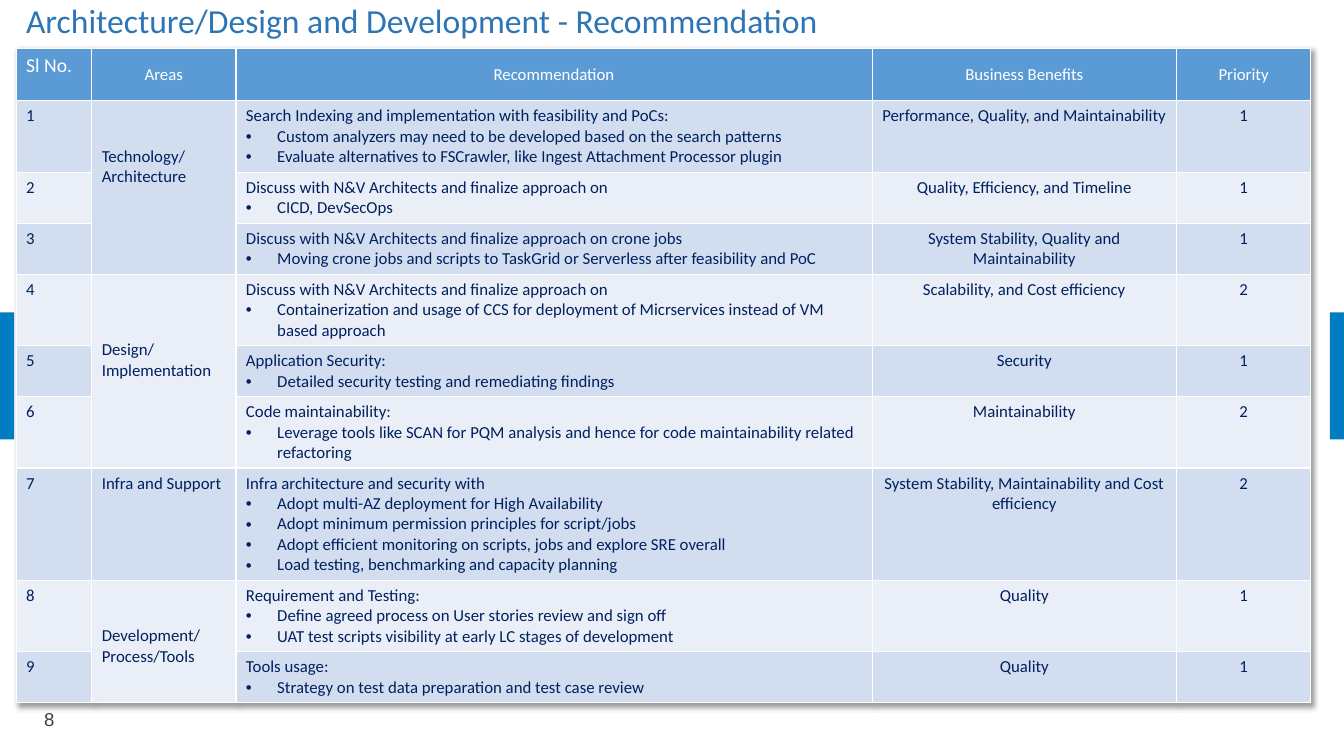
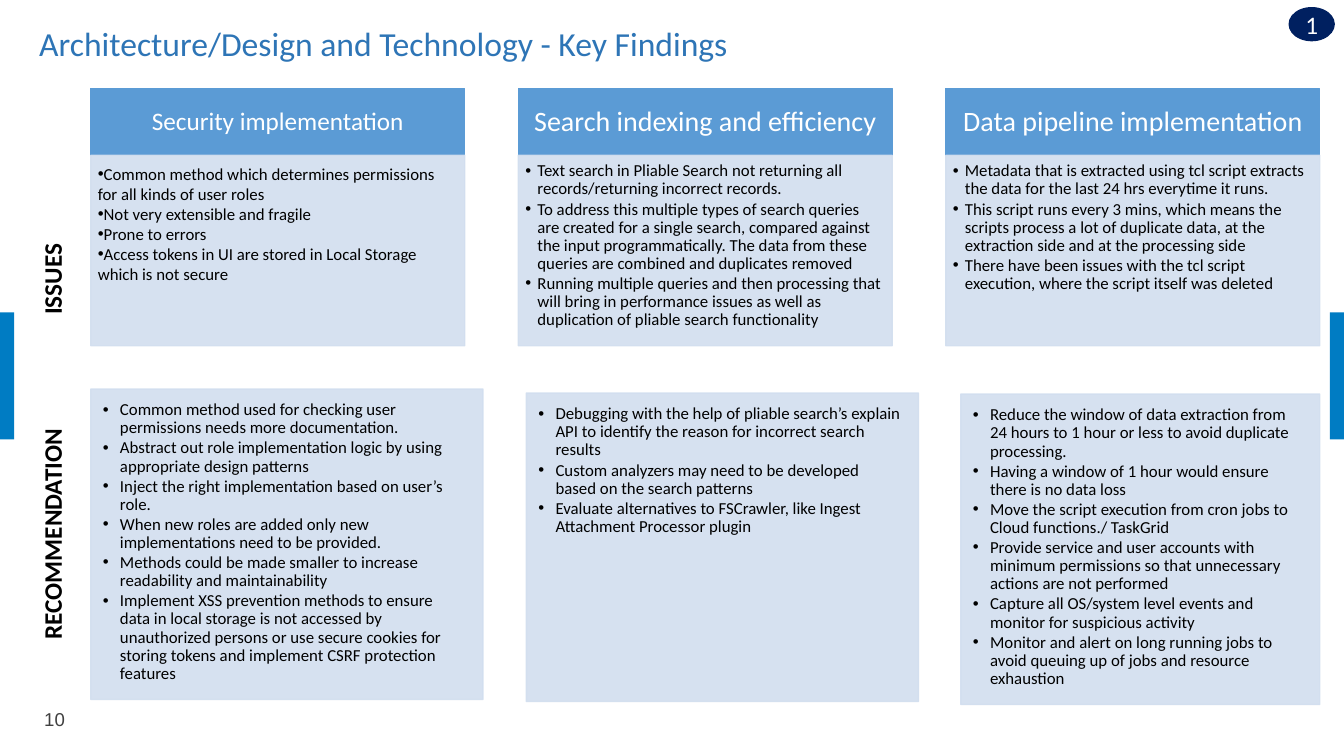
import dataclasses

import lxml.etree
import pptx
import pptx.dml.color
import pptx.enum.shapes
import pptx.enum.text
import pptx.oxml
import pptx.oxml.ns
import pptx.util

Inches = pptx.util.Inches
Pt = pptx.util.Pt
Align = pptx.enum.text.PP_ALIGN
Anchor = pptx.enum.text.MSO_ANCHOR
Preset = pptx.enum.shapes.MSO_SHAPE
qn = pptx.oxml.ns.qn


@dataclasses.dataclass(frozen=True)
class Theme:
    font: str = "Calibri"
    number_font: str = "Arial"
    title: str = "2E75B6"
    tab: str = "007CC3"
    accent: str = "5B9BD5"
    panel: str = "D2DEEF"
    pale: str = "EAEFF7"
    navy: str = "002060"
    number: str = "404040"
    white: str = "FFFFFF"
    black: str = "000000"
    title_size: float = 24
    card_size: float = 20
    label_size: float = 18
    corner_size: float = 14
    number_size: float = 13.3
    body_size: float = 12


THEME = Theme()
DEFAULT_INSETS = (0.1, 0.05, 0.1, 0.05)
SMALL_INSETS = (0.07,) * 4
LINE_HEIGHT = 0.2

COLUMN_WIDTHS = (0.75, 1.43, 6.31, 3.02, 1.33)
HEADERS = ("Sl No.", "Areas", "Recommendation", "Business Benefits", "Priority")
# Area name, rows it covers, lines of room above it
AREAS = (
    ("Technology/Architecture", 3, 2),
    ("Design/Implementation", 3, 3),
    ("Infra and Support", 1, 0),
    ("Development/Process/Tools", 2, 2),
)
# Heading, bullets, benefit, priority, lines of text
RECOMMENDATIONS = (
    ("Search Indexing and implementation with feasibility and PoCs:",
     ("Custom analyzers may need to be developed based on the search patterns",
      "Evaluate alternatives to FSCrawler, like Ingest Attachment Processor plugin"),
     "Performance, Quality, and Maintainability", "1", 3),
    ("Discuss with N&V Architects and finalize approach on",
     ("CICD, DevSecOps",), "Quality, Efficiency, and Timeline", "1", 2),
    ("Discuss with N&V Architects and finalize approach on crone jobs",
     ("Moving crone jobs and scripts to TaskGrid or Serverless after feasibility and PoC",),
     "System Stability, Quality and Maintainability", "1", 2),
    ("Discuss with N&V Architects and finalize approach on",
     ("Containerization and usage of CCS for deployment of Micrservices instead of VM "
      "based approach",),
     "Scalability, and Cost efficiency", "2", 3),
    ("Application Security:",
     ("Detailed security testing and remediating findings",), "Security", "1", 2),
    ("Code maintainability:",
     ("Leverage tools like SCAN for PQM analysis and hence for code maintainability related "
      "refactoring",),
     "Maintainability", "2", 3),
    ("Infra architecture and security with",
     ("Adopt multi-AZ deployment for High Availability",
      "Adopt minimum permission principles for script/jobs",
      "Adopt efficient monitoring on scripts, jobs and explore SRE overall",
      "Load testing, benchmarking and capacity planning"),
     "System Stability, Maintainability and Cost efficiency", "2", 5),
    ("Requirement and Testing:",
     ("Define agreed process on User stories review and sign off",
      "UAT test scripts visibility at early LC stages of development"),
     "Quality", "1", 3),
    ("Tools usage:",
     ("Strategy on test data preparation and test case review",), "Quality", "1", 2),
)

# Heading, heading size, issues
ISSUES = (
    ("Security implementation", THEME.label_size,
     ("Common method which determines permissions for all kinds of user roles",
      "Not very extensible and fragile",
      "Prone to errors",
      "Access tokens in UI are stored in Local Storage which is not secure")),
    ("Search indexing and efficiency", THEME.card_size,
     ("Text search in Pliable Search not returning all records/returning incorrect records.",
      "To address this multiple types of search queries are created for a single search, "
      "compared against the input programmatically. The data from these queries are combined "
      "and duplicates removed",
      "Running multiple queries and then processing that will bring in performance issues as "
      "well as duplication of pliable search functionality")),
    ("Data pipeline implementation", THEME.card_size,
     ("Metadata that is extracted using tcl script extracts the data for the last 24 hrs "
      "everytime it runs.",
      "This script runs every 3 mins, which means the scripts process a lot of duplicate data, "
      "at the extraction side and at the processing side",
      "There have been issues with the tcl script execution, where the script itself was "
      "deleted")),
)
# Box, recommended actions
ACTIONS = (
    ((0.9, 3.86, 3.89, 3.08),
     ("Common method used for checking user permissions needs more documentation.",
      "Abstract out role implementation logic by using appropriate design patterns",
      "Inject the right implementation based on user’s role.",
      "When new roles are added only new implementations need to be provided.",
      "Methods could be made smaller to increase readability and maintainability",
      "Implement XSS prevention methods to ensure data in local storage is not accessed by "
      "unauthorized persons or use secure cookies for storing tokens and implement CSRF "
      "protection features")),
    ((5.22, 3.9, 3.89, 3.06),
     ("Debugging with the help of pliable search’s explain API to identify the reason for "
      "incorrect search results",
      "Custom analyzers may need to be developed based on the search patterns",
      "Evaluate alternatives to FSCrawler, like Ingest Attachment Processor plugin")),
    ((9.53, 3.91, 3.56, 3.08),
     ("Reduce the window of data extraction from 24 hours to 1 hour or less to avoid duplicate "
      "processing.",
      "Having a window of 1 hour would ensure there is no data loss",
      "Move the script execution from cron jobs to Cloud functions./ TaskGrid",
      "Provide service and user accounts with minimum permissions so that unnecessary actions "
      "are not performed",
      "Capture all OS/system level events and monitor for suspicious activity",
      "Monitor and alert on long running jobs to avoid queuing up of jobs and resource "
      "exhaustion")),
)


def rgb(color):
    return pptx.dml.color.RGBColor.from_string(color)


def add_bullet(paragraph, hanging):
    properties = paragraph._p.get_or_add_pPr()
    properties.set("marL", str(Inches(hanging)))
    properties.set("indent", str(-Inches(hanging)))
    lxml.etree.SubElement(properties, qn("a:buFont")).set("typeface", "Arial")
    lxml.etree.SubElement(properties, qn("a:buChar")).set("char", "•")


def write(frame, lines, color, size=THEME.body_size, align=Align.LEFT, font=THEME.font,
          bold=False, spacing=None, gap=0, hanging=None, first_bullet=0):
    """Fill a text frame; lines from first_bullet on get bullets when hanging is given."""
    for index, line in enumerate(lines):
        paragraph = frame.add_paragraph() if index else frame.paragraphs[0]
        paragraph.alignment = align
        if spacing:
            paragraph.line_spacing = spacing
        if gap:
            paragraph.space_after = Pt(gap)
        if hanging is not None and index >= first_bullet:
            add_bullet(paragraph, hanging)
        run = paragraph.add_run()
        run.text = line
        run.font.name, run.font.size, run.font.bold = font, Pt(size), bold
        run.font.color.rgb = rgb(color)


def set_frame(shape, insets, anchor):
    frame = shape.text_frame
    frame.word_wrap = True
    frame.vertical_anchor = anchor
    (frame.margin_left, frame.margin_top,
     frame.margin_right, frame.margin_bottom) = map(Inches, insets)
    return frame


def add_text(slide, box, lines, color, insets=DEFAULT_INSETS, anchor=Anchor.TOP, **style):
    shape = slide.shapes.add_textbox(*map(Inches, box))
    write(set_frame(shape, insets, anchor), lines, color, **style)
    return shape


def add_filled(slide, box, fill, preset=Preset.RECTANGLE, outlined=False, opacity=None):
    shape = slide.shapes.add_shape(preset, *map(Inches, box))
    shape.shadow.inherit = False
    shape.fill.solid()
    shape.fill.fore_color.rgb = rgb(fill)
    if outlined:
        shape.line.color.rgb = rgb(fill)
        shape.line.width = Pt(1)
    else:
        shape.line.fill.background()
    if opacity:
        for color in shape._element.spPr.iter(qn("a:srgbClr")):
            lxml.etree.SubElement(color, qn("a:alpha")).set("val", str(opacity * 1000))
    return shape


def add_base_slide(presentation, title, title_position, number):
    slide = presentation.slides.add_slide(presentation.slide_layouts[6])
    for left in (0, 13.19):
        add_filled(slide, (left, 3.1, 0.14, 1.26), THEME.tab)
    add_text(slide, (*title_position, 12.72, 0.66), [title], THEME.title,
             size=THEME.title_size, spacing=0.9)
    add_text(slide, (0.34, 6.93, 0.68, 0.41), [number], THEME.number, anchor=Anchor.MIDDLE,
             size=THEME.number_size, font=THEME.number_font)
    return slide


def fill_cell(cell, lines, fill, color=THEME.navy, **style):
    cell.fill.solid()
    cell.fill.fore_color.rgb = rgb(fill)
    write(cell.text_frame, lines, color, **style)


def add_table_shadow(table):
    effects = pptx.oxml.parse_xml(
        f'<a:effectLst {pptx.oxml.ns.nsdecls("a")}>'
        '<a:outerShdw blurRad="50800" dist="38100" dir="2700000" algn="tl" rotWithShape="0">'
        '<a:srgbClr val="000000"><a:alpha val="40000"/></a:srgbClr>'
        '</a:outerShdw></a:effectLst>')
    table._tbl.tblPr.insert(0, effects)


def add_recommendation_table(slide, left, top):
    heights = [0.52] + [0.1 + 0.203 * row[-1] for row in RECOMMENDATIONS]
    table = slide.shapes.add_table(
        len(heights), len(COLUMN_WIDTHS), Inches(left), Inches(top),
        Inches(sum(COLUMN_WIDTHS)), Inches(sum(heights))).table
    add_table_shadow(table)
    for column, width in zip(table.columns, COLUMN_WIDTHS):
        column.width = Inches(width)
    for row, height in zip(table.rows, heights):
        row.height = Inches(height)

    for index, header in enumerate(HEADERS):
        cell = table.cell(0, index)
        cell.vertical_anchor = Anchor.MIDDLE if index else Anchor.TOP
        fill_cell(cell, [header], THEME.accent, THEME.white,
                  size=THEME.body_size if index else THEME.corner_size,
                  align=Align.CENTER if index else Align.LEFT)

    bands = (THEME.pale, THEME.panel)
    for index, (heading, bullets, benefit, priority, _) in enumerate(RECOMMENDATIONS, 1):
        band = bands[index % 2]
        fill_cell(table.cell(index, 0), [str(index)], band)
        fill_cell(table.cell(index, 2), [heading, *bullets], band, hanging=0.31, first_bullet=1)
        fill_cell(table.cell(index, 3), [benefit], band, align=Align.CENTER)
        fill_cell(table.cell(index, 4), [priority], band, align=Align.CENTER)

    start = 1
    for name, span, lines_above in AREAS:
        cell = table.cell(start, 1)
        if span > 1:
            cell.merge(table.cell(start + span - 1, 1))
        cell.margin_top = Inches(0.05 + LINE_HEIGHT * lines_above)
        fill_cell(cell, [name], bands[start % 2])
        start += span


def add_panel(slide, box, lines, insets, **style):
    panel = add_filled(slide, box, THEME.panel, outlined=True, opacity=90)
    write(set_frame(panel, insets, Anchor.TOP), lines, THEME.black, **style)


def add_issue_card(slide, left, top, heading, heading_size, issues, insets, **style):
    width, header_height = 3.71, 0.66
    header = add_filled(slide, (left, top, width, header_height), THEME.accent, outlined=True)
    write(set_frame(header, (0.14, 0.08, 0.14, 0.08), Anchor.MIDDLE), [heading], THEME.white,
          size=heading_size, align=Align.CENTER, spacing=0.9)
    add_panel(slide, (left, top + header_height, width, 1.89), issues, insets, **style)


def add_side_label(slide, left, top, text):
    label = add_text(slide, (left, top, 2.33, 0.44), [text], THEME.black, insets=SMALL_INSETS,
                     size=THEME.label_size, align=Align.CENTER, bold=True)
    label.rotation = 270


def add_badge(slide, box, text):
    badge = add_filled(slide, box, THEME.navy, Preset.OVAL)
    write(set_frame(badge, SMALL_INSETS, Anchor.MIDDLE), [text], THEME.white,
          size=THEME.label_size, align=Align.CENTER)


def build_recommendation_slide(presentation):
    slide = add_base_slide(presentation, "Architecture/Design and Development - Recommendation",
                           (0.16, 0), "8")
    add_recommendation_table(slide, 0.16, 0.48)


def build_findings_slide(presentation):
    slide = add_base_slide(presentation, "Architecture/Design and Technology - Key Findings",
                           (0.29, 0.22), "10")
    tight = dict(spacing=0.9, gap=1.4)
    for index, card in enumerate(ISSUES):
        style = (dict(tight, insets=(0.07, 0.07, 0.09, 0.1), hanging=0.12) if index
                 else dict(insets=(0.07, 0.08, 0.1, 0.05), hanging=0))
        add_issue_card(slide, 0.9 + 4.24 * index, 0.88, *card, **style)
    for box, actions in ACTIONS:
        add_panel(slide, box, actions, (0.12, 0.12, 0.16, 0.17), hanging=0.17, **tight)
    add_side_label(slide, -0.65, 2.55, "ISSUES")
    add_side_label(slide, -0.65, 5.08, "RECOMMENDATION")
    add_badge(slide, (12.78, 0.07, 0.46, 0.34), "1")


def main():
    presentation = pptx.Presentation()
    presentation.slide_width, presentation.slide_height = Inches(13.33), Inches(7.5)
    build_recommendation_slide(presentation)
    build_findings_slide(presentation)
    presentation.save("out.pptx")


if __name__ == "__main__":
    main()
